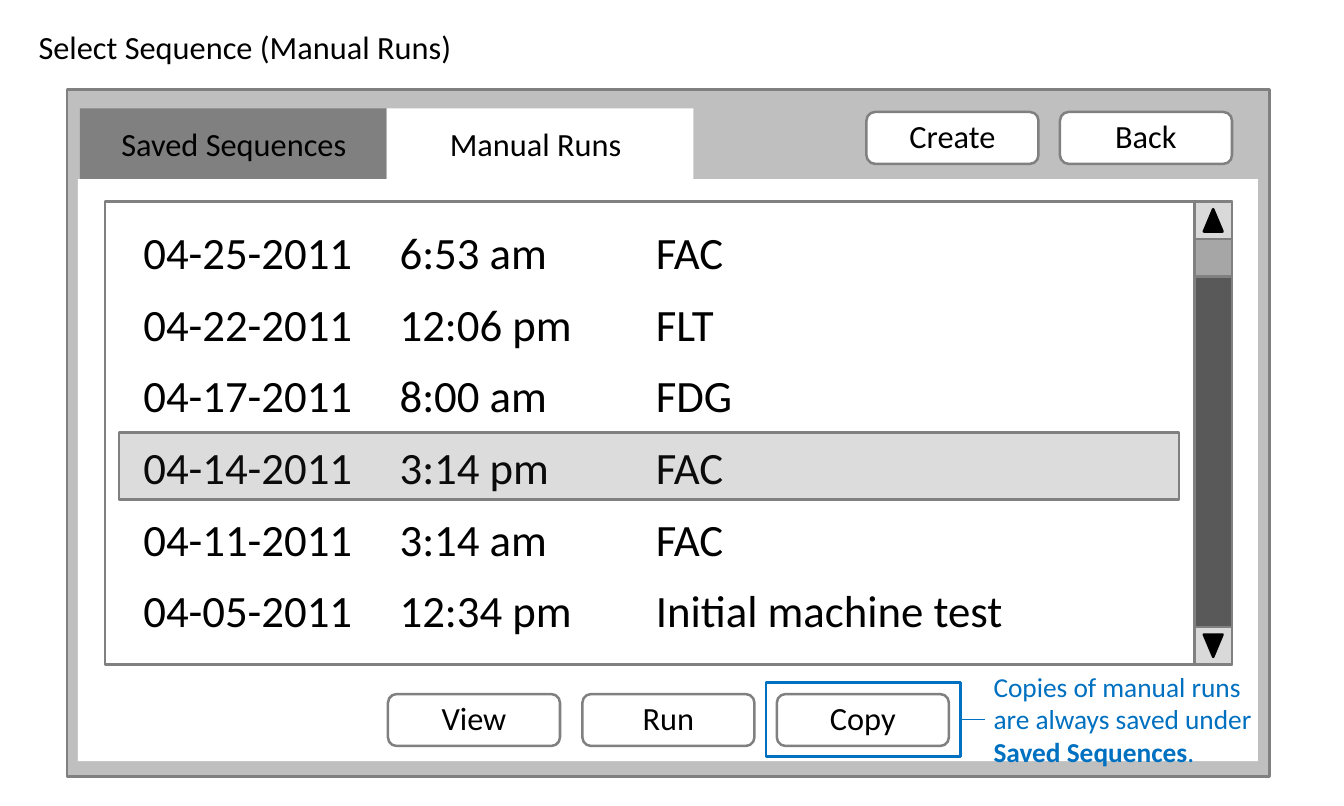
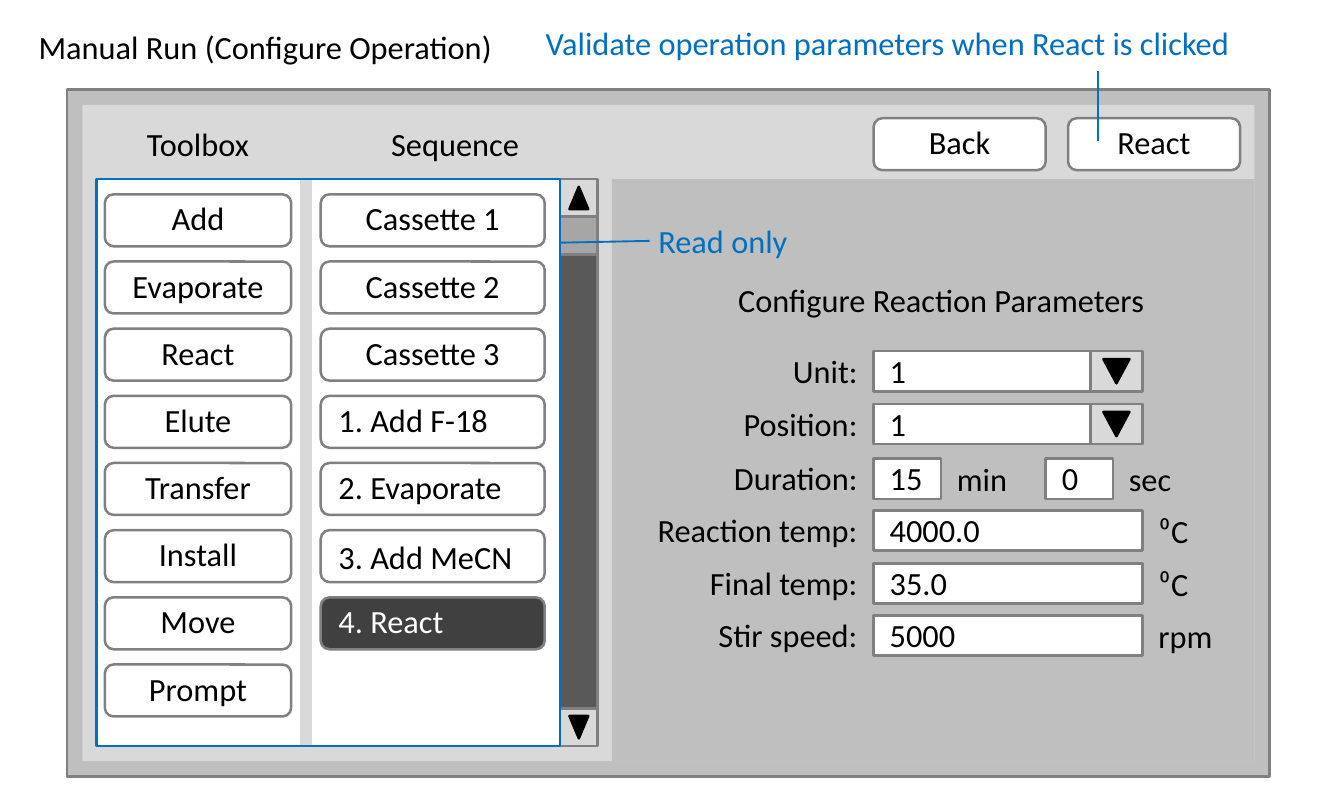
from lxml.etree import SubElement
from pptx import Presentation
from pptx.dml.color import RGBColor
from pptx.enum.shapes import MSO_CONNECTOR as Line, MSO_SHAPE as Kind
from pptx.enum.text import MSO_ANCHOR as Anchor, MSO_AUTO_SIZE as Fit, PP_ALIGN as Align
from pptx.oxml.ns import qn
from pptx.util import Inches, Pt

BLACK = RGBColor(0x00, 0x00, 0x00)
DARK = RGBColor(0x40, 0x40, 0x40)
TRACK = RGBColor(0x59, 0x59, 0x59)
EDGE = RGBColor(0x80, 0x80, 0x80)
THUMB = RGBColor(0xA6, 0xA6, 0xA6)
FRAME = RGBColor(0xBF, 0xBF, 0xBF)
LIGHT = RGBColor(0xD9, 0xD9, 0xD9)
WHITE = RGBColor(0xFF, 0xFF, 0xFF)
BLUE = RGBColor(0x00, 0x70, 0xC0)

RUNS = [
    ("04-25-2011", "6:53 am", "FAC"),
    ("04-22-2011", "12:06 pm", "FLT"),
    ("04-17-2011", "8:00 am", "FDG"),
    ("04-14-2011", "3:14 pm", "FAC"),
    ("04-11-2011", "3:14 am", "FAC"),
    ("04-05-2011", "12:34 pm", "Initial machine test"),
]
TAB = 1.43
HINT = [
    "Copies of manual runs",
    "are always saved under",
    [("Saved Sequences", True), (".", False)],
]
ACTS = ["View", "Run", "Copy"]
TOOLS = ["Add", "Evaporate", "React", "Elute", "Transfer", "Install", "Move", "Prompt"]
UNITS = ["Cassette 1", "Cassette 2", "Cassette 3"]
STEPS = ["1. Add F-18", "2. Evaporate", "3. Add MeCN", "4. React"]
FIELDS = [
    (3.92, "Unit:", [(9.75, 2.42, "1")], [], True),
    (4.51, "Position:", [(9.75, 2.42, "1")], [], True),
    (5.12, "Duration:", [(9.75, 0.75, "15"), (11.67, 0.75, "0")],
     [(10.58, "min"), (12.5, "sec")], False),
    (5.7, "Reaction temp:", [(9.75, 3, "4000.0")], [(12.83, "⁰C")], False),
    (6.29, "Final temp:", [(9.75, 3, "35.0")], [(12.83, "⁰C")], False),
    (6.87, "Stir speed:", [(9.75, 3, "5000")], [(12.83, "rpm")], False),
]


def text(shape, paras, size=26, color=BLACK, align=Align.LEFT,
         inset=(0.1, 0.05, 0.1, 0.05), gap=0, tab=None):
    frame = shape.text_frame
    frame.word_wrap = True
    frame.auto_size = Fit.NONE
    frame.vertical_anchor = Anchor.TOP
    frame.margin_left, frame.margin_top, frame.margin_right, frame.margin_bottom = map(Inches, inset)
    for i, para in enumerate([paras] if isinstance(paras, str) else paras):
        p = frame.paragraphs[0] if i == 0 else frame.add_paragraph()
        p.alignment = align
        p.space_before = Pt(gap if i else 0)
        if tab:
            props = p._p.get_or_add_pPr()
            props.set("marL", "0")
            props.set("indent", "0")
            props.set("defTabSz", str(Inches(tab)))
            SubElement(props, qn("a:buNone"))
            tabs = SubElement(props, qn("a:tabLst"))
            for step in (2, 4):
                SubElement(tabs, qn("a:tab"), pos=str(Inches(step * tab)), algn="l")
        for words, bold in [(para, False)] if isinstance(para, str) else para:
            run = p.add_run()
            run.text = words
            font = run.font
            font.name, font.size, font.bold = "Calibri", Pt(size), bold
            font.color.rgb = color
    return shape


def place(shape, x, y, w, h):
    shape.left, shape.top, shape.width, shape.height = map(Inches, (x, y, w, h))
    return shape


def box(slide, x, y, w, h, fill=WHITE, edge=EDGE, kind=Kind.RECTANGLE):
    shape = slide.shapes.add_shape(kind, *map(Inches, (x, y, w, h)))
    shape.shadow.inherit = False
    if fill is None:
        shape.fill.background()
    else:
        shape.fill.solid()
        shape.fill.fore_color.rgb = fill
    if edge is None:
        shape.line.fill.background()
    else:
        shape.line.color.rgb = edge
        shape.line.width = Pt(2)
    return shape


def label(slide, x, y, w, words, h=0.54, **look):
    return text(slide.shapes.add_textbox(*map(Inches, (x, y, w, h))), words, **look)


def button(slide, x, y, words, w=1.92, fill=WHITE, **look):
    shape = box(slide, x, y, w, 0.58, fill, kind=Kind.ROUNDED_RECTANGLE)
    look = {"align": Align.CENTER, "inset": (0.07, 0.02, 0.07, 0), **look}
    return text(shape, words, **look)


def arrow(slide, x, y, w, h, tri, down=False):
    box(slide, x, y, w, h, LIGHT)
    tw, th = tri
    mark = box(slide, x + (w - tw) / 2, y + (h - th) / 2, tw, th,
               BLACK, BLACK, Kind.ISOSCELES_TRIANGLE)
    mark.rotation = 180 if down else 0


def scroll(slide, x, top, end):
    side = 0.42
    box(slide, x, top + side, side, end - top - 2 * side, TRACK)
    box(slide, x, top + side, side, side, THUMB)
    arrow(slide, x, top, side, side, (0.21, 0.25))
    arrow(slide, x, end - side, side, side, (0.21, 0.25), down=True)


def link(slide, x1, y1, x2, y2):
    line = slide.shapes.add_connector(Line.STRAIGHT, *map(Inches, (x1, y1, x2, y2)))
    line.line.color.rgb = BLUE
    line.line.width = Pt(1.5)
    SubElement(line._element.spPr, qn("a:effectLst"))
    return line


def start(deck, layout, title):
    slide = deck.slides.add_slide(deck.slide_layouts[layout])
    text(place(slide.shapes.title, 0.33, 0.25, 5.67, 0.54), title)
    box(slide, 0.75, 1, 13.42, 7.67, FRAME)
    return slide


def choose(deck):
    slide = start(deck, 1, "Select Sequence (Manual Runs)")
    text(box(slide, 0.89, 1.21, 3.42, 0.92, EDGE, None), "Saved Sequences",
         align=Align.CENTER, inset=(0.12, 0.18, 0.1, 0))
    text(box(slide, 4.32, 1.21, 3.42, 1.25, edge=None), "Manual Runs",
         align=Align.CENTER, inset=(0.1, 0.18, 0.2, 0))
    box(slide, 0.87, 2, 13.17, 6.5, edge=None)
    for i, name in enumerate(["Create", "Back"]):
        button(slide, 9.67 + 2.16 * i, 1.25, name)
    for i, name in enumerate(ACTS):
        button(slide, 4.33 + 2.17 * i, 7.75, name)
    box(slide, 1.17, 2.25, 12.58, 5.17)
    scroll(slide, 13.33, 2.25, 7.42)
    body = place(slide.placeholders[1], 1.5, 2.46, 10.08, 4.9)
    text(body, ["\t".join(row) for row in RUNS], size=36, gap=14.4, tab=TAB)
    slide.shapes.element.append(body.element)
    pick = box(slide, 1.33, 4.83, 11.83, 0.75, DARK)
    tint = pick.element.spPr.find(qn("a:solidFill"))[0]
    SubElement(tint, qn("a:alpha"), val="18000")
    hint = label(slide, 10.99, 7.43, 3.25, HINT, h=1.21, size=22, color=BLUE)
    ring = box(slide, 8.55, 7.62, 2.17, 0.83, None, BLUE)
    line = link(slide, 10.72, 8.04, 10.99, 8.04)
    line.begin_connect(ring, 3)
    line.end_connect(hint, 1)


def setup(deck):
    slide = start(deck, 5, "Manual Run (Configure Operation)")
    box(slide, 0.92, 1.17, 13.08, 7.33, LIGHT, None)
    box(slide, 6.83, 2, 7.17, 6.5, FRAME, None)
    for i, name in enumerate(["Back", "React"]):
        button(slide, 9.75 + 2.17 * i, 1.32, name)
    label(slide, 1.17, 1.34, 2.08, "Toolbox", align=Align.CENTER)
    label(slide, 3.58, 1.34, 3, "Sequence", align=Align.CENTER)
    box(slide, 1.08, 2, 2.25, 6.33, edge=WHITE)
    box(slide, 3.5, 2, 3.17, 6.33, edge=WHITE)
    scroll(slide, 6.25, 2, 8.33)

    for i, name in enumerate(TOOLS):
        button(slide, 1.17, 2.17 + 0.75 * i, name, w=2.08)
    for i, name in enumerate(UNITS + STEPS):
        look = {}
        if name in STEPS:
            drop = 0.05 if name == "3. Add MeCN" else 0.02
            look = {"align": Align.LEFT, "inset": (0.17, drop, 0.07, 0)}
        if name == STEPS[-1]:
            look.update(fill=DARK, color=WHITE)
        button(slide, 3.58, 2.17 + 0.75 * i, name, w=2.5, **look)

    label(slide, 7.67, 3.08, 5.67, "Configure Reaction Parameters", align=Align.CENTER)
    for y, name, boxes, units, menu in FIELDS:
        label(slide, 7.09, y - 0.05, 2.58, name, align=Align.RIGHT)
        for x, w, value in boxes:
            text(box(slide, x, y, w, 0.45), value, inset=(0.18, 0, 0, 0))
        for x, unit in units:
            label(slide, x, y - 0.04, 0.92, unit)
        if menu:
            arrow(slide, 12.17, y, 0.58, 0.45, (0.29, 0.27), down=True)

    note = label(slide, 7.25, 2.42, 4.33, "Read only", color=BLUE)
    box(slide, 1.08, 2, 5.17, 6.33, None, BLUE)
    link(slide, 6.25, 2.71, 7.25, 2.69).end_connect(note, 1)
    label(slide, 5.99, 0.21, 8.18, "Validate operation parameters when React is clicked", color=BLUE)
    link(slide, 12.25, 0.79, 12.25, 1.58)


def main():
    deck = Presentation()
    deck.slide_width, deck.slide_height = Inches(15), Inches(9)
    choose(deck)
    setup(deck)
    deck.save("out.pptx")


if __name__ == "__main__":
    main()
